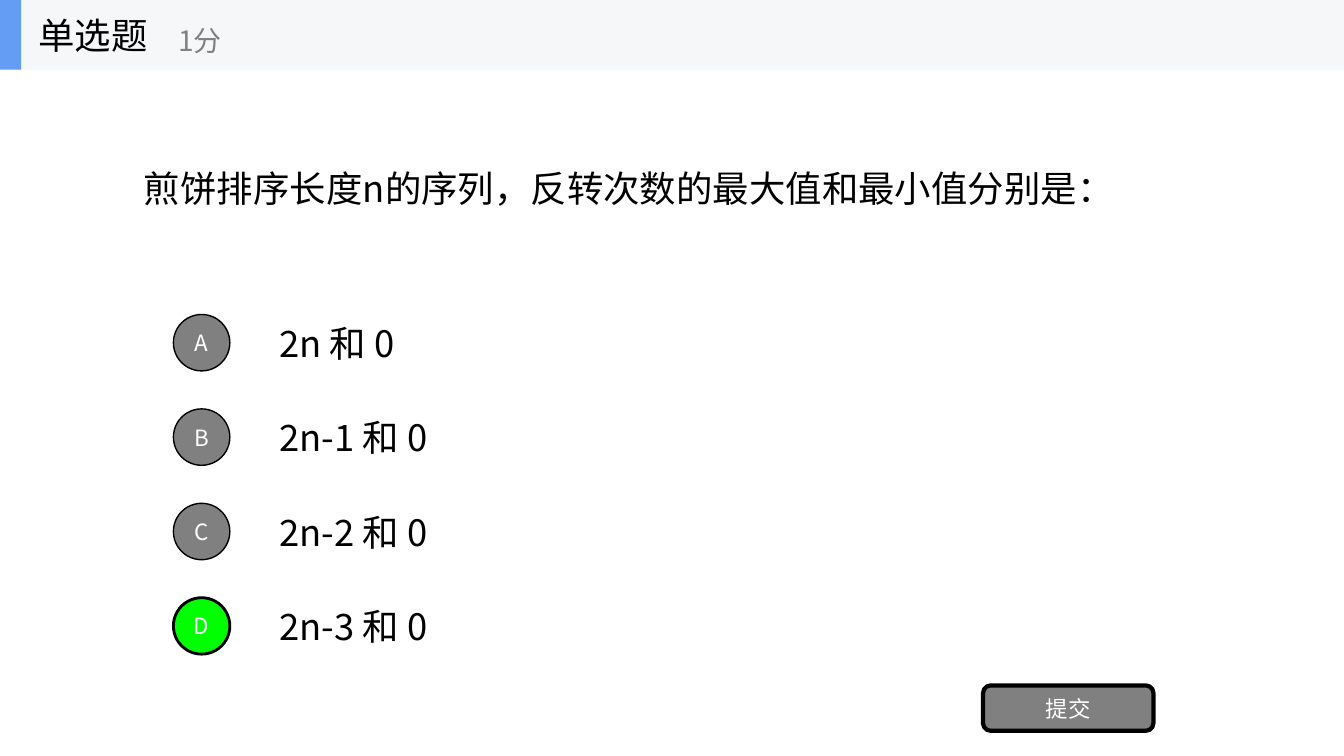
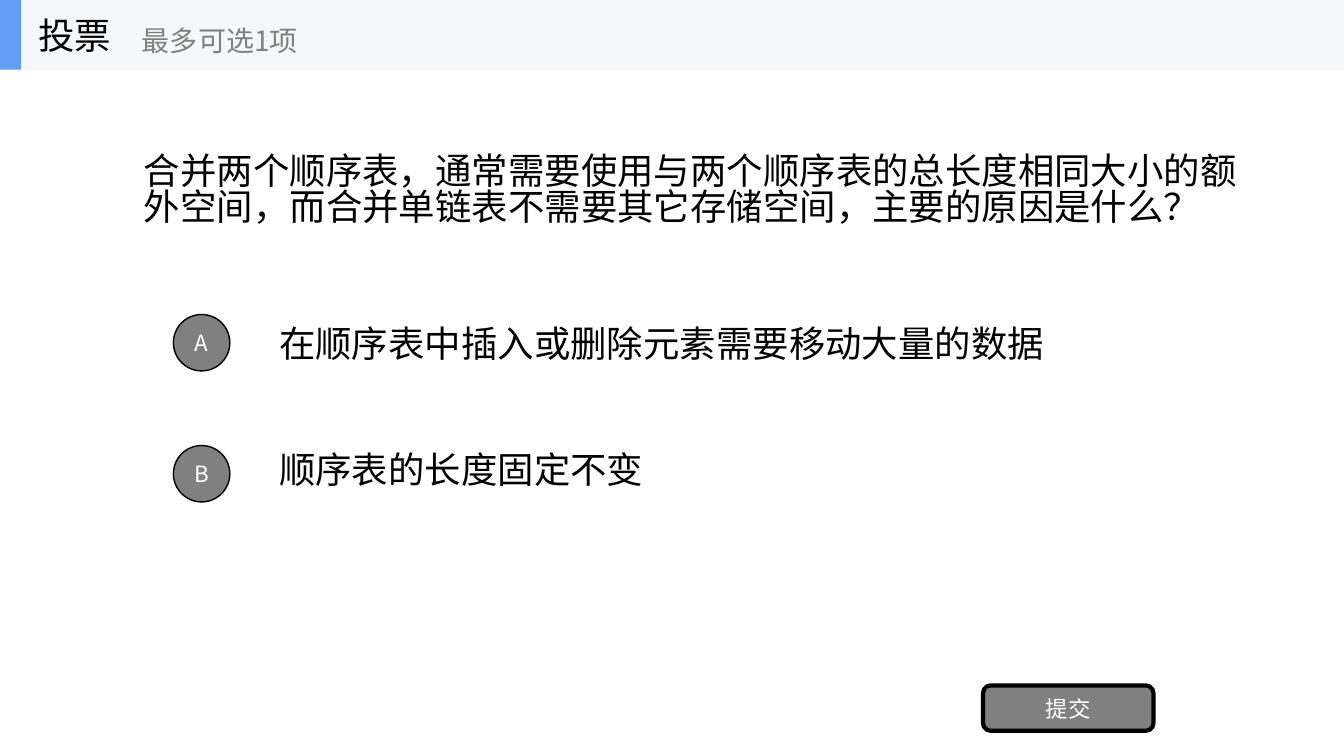
from dataclasses import dataclass

from lxml.etree import SubElement
from pptx import Presentation
from pptx.dml.color import RGBColor
from pptx.enum.shapes import MSO_SHAPE as Shape
from pptx.enum.text import MSO_ANCHOR as Anchor, MSO_AUTO_SIZE as AutoSize, PP_ALIGN as Align
from pptx.oxml.ns import qn
from pptx.util import Inches, Pt


@dataclass(frozen=True)
class Theme:
    font: str = "Noto Sans CJK SC"
    ink: str = "000000"
    grey: str = "808080"
    white: str = "FFFFFF"
    band: str = "F6F7F8"
    accent: str = "639EF4"
    correct: str = "00FF00"
    body_size: int = 26
    hint_size: int = 20
    button_size: int = 16


@dataclass(frozen=True)
class Question:
    title: str
    hint: str
    hint_left: float
    text: str
    text_width: float
    options: tuple
    text_span: float  # from the first option text to the last
    badge_span: float  # from the first badge to the last
    answer: str = ""


QUESTIONS = (
    Question(
        "单选题", "1分", 1.67,
        "煎饼排序长度n的序列，反转次数的最大值和最小值分别是：", 10.67,
        ("2n 和 0", "2n-1 和 0", "2n-2 和 0", "2n-3 和 0"),
        2.81, 2.81, answer="D",
    ),
    Question(
        "投票", "最多可选1项", 1.31,
        "合并两个顺序表，通常需要使用与两个顺序表的总长度相同大小的额外空间，"
        "而合并单链表不需要其它存储空间，主要的原因是什么？", 11.1,
        ("在顺序表中插入或删除元素需要移动大量的数据", "顺序表的长度固定不变"),
        1.25, 1.3,
    ),
)


class QuizDeck:
    WIDTH, HEIGHT, BAND_HEIGHT = 13.33, 7.5, 0.69

    def __init__(self, theme):
        self.theme = theme
        self.deck = Presentation()
        self.deck.slide_width = Inches(self.WIDTH)
        self.deck.slide_height = Inches(self.HEIGHT)
        self.page = None

    def new_page(self):
        self.page = self.deck.slides.add_slide(self.deck.slide_layouts[5])

    def set_text(self, box, text, size, color, align=Align.LEFT):
        frame = box.text_frame
        frame.text = text
        frame.word_wrap = True
        frame.auto_size = AutoSize.NONE
        frame.vertical_anchor = Anchor.MIDDLE
        para = frame.paragraphs[0]
        para.alignment = align
        for span in para.runs:
            span.font.size = Pt(size)
            span.font.color.rgb = RGBColor.from_string(color)
            span.font.name = self.theme.font
            # East Asian text takes its typeface from its own element
            SubElement(span._r.get_or_add_rPr(), qn("a:ea"), typeface=self.theme.font)
        return para

    def text(self, place, text, size, color):
        box = self.page.shapes.add_textbox(*map(Inches, place))
        return self.set_text(box, text, size, color)

    def shape(self, kind, place, fill, line_width=0):
        box = self.page.shapes.add_shape(kind, *map(Inches, place))
        box.shadow.inherit = False
        box.fill.solid()
        box.fill.fore_color.rgb = RGBColor.from_string(fill)
        if line_width:
            box.line.color.rgb = RGBColor.from_string(self.theme.ink)
            box.line.width = Pt(line_width)
        else:
            box.line.fill.background()
        return box

    def button(self, kind, place, label, fill, line_width):
        box = self.shape(kind, place, fill, line_width)
        self.set_text(box, label, self.theme.button_size, self.theme.white, Align.CENTER)

    def header(self, title, hint, hint_left):
        theme = self.theme
        self.shape(Shape.RECTANGLE, (0, 0, self.WIDTH, self.BAND_HEIGHT), theme.band)
        self.shape(Shape.RECTANGLE, (0, 0, 0.21, self.BAND_HEIGHT), theme.accent)
        box = self.page.shapes.title
        box.left, box.top, box.width, box.height = map(Inches, (0.28, 0, 2.08, self.BAND_HEIGHT))
        self.set_text(box, title, theme.body_size, theme.ink)
        box.element.getparent().append(box.element)  # bring in front of the band
        self.text((hint_left, 0.12, 2.5, 0.56), hint, theme.hint_size, theme.grey)

    def question(self, text, width):
        place = (1.33, 0.73, width, 2.34)
        para = self.text(place, text, self.theme.body_size, self.theme.ink)
        para.line_spacing = 0.83

    def options(self, question):
        theme = self.theme
        steps = len(question.options) - 1
        for index, option in enumerate(question.options):
            letter = "ABCD"[index]
            text_top = 3.05 + question.text_span * index / steps
            badge_top = 3.12 + question.badge_span * index / steps
            fill, line_width = (theme.correct, 2) if letter == question.answer else (theme.grey, 1)
            self.text((2.67, text_top, 9.33, 0.7), option, theme.body_size, theme.ink)
            self.button(Shape.OVAL, (1.72, badge_top, 0.56, 0.56), letter, fill, line_width)

    def submit(self):
        place = (9.75, 6.8, 1.69, 0.45)
        self.button(Shape.ROUNDED_RECTANGLE, place, "提交", self.theme.grey, 3)


def main():
    quiz = QuizDeck(Theme())
    for question in QUESTIONS:
        quiz.new_page()
        quiz.header(question.title, question.hint, question.hint_left)
        quiz.question(question.text, question.text_width)
        quiz.options(question)
        quiz.submit()
    quiz.deck.save("out.pptx")


if __name__ == "__main__":
    main()
